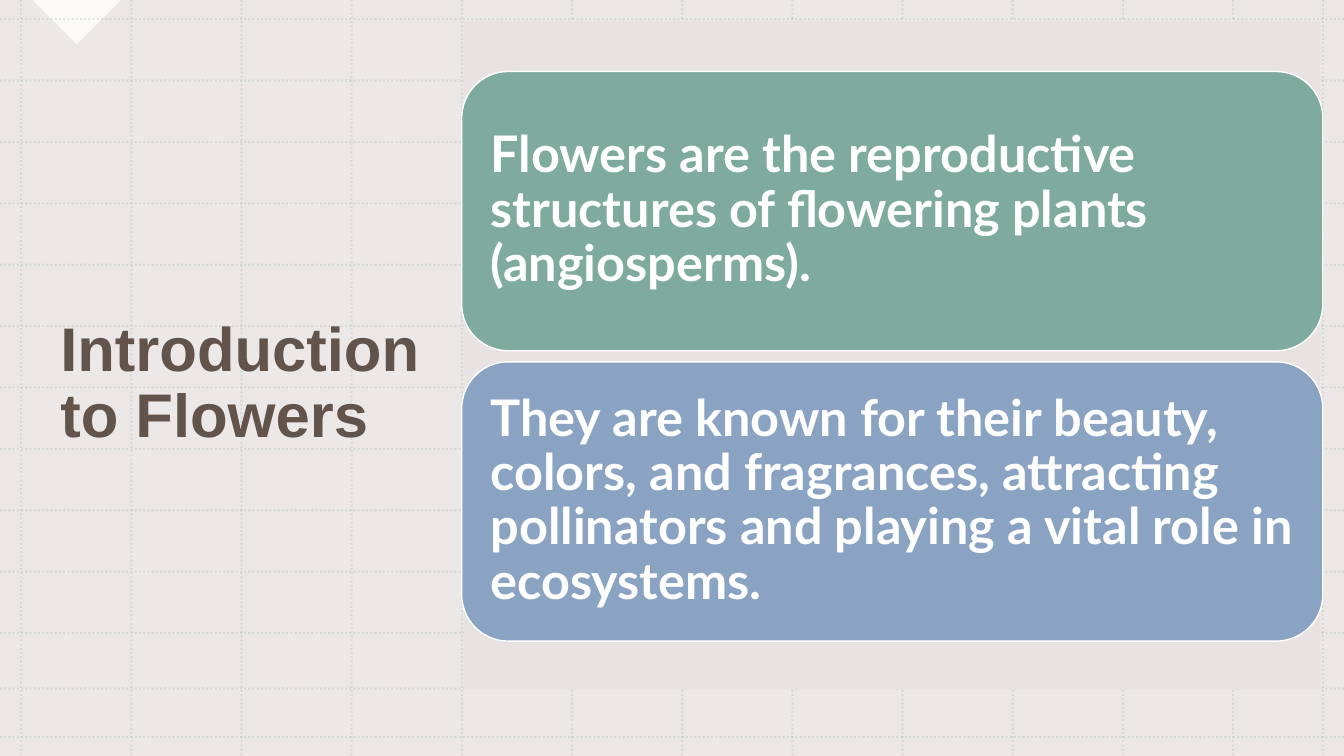
"""Builds the "Introduction to Flowers" slide."""
from dataclasses import dataclass

from lxml import etree
from pptx import Presentation
from pptx import util as u
from pptx.dml.color import RGBColor
from pptx.enum import dml, shapes, text
from pptx.oxml.ns import qn


@dataclass(frozen=True)
class Theme:
    """Colours, fonts and type sizes of the slide."""
    white: str = "FFFFFF"
    sand: str = "E8E3E2"
    green: str = "7FAA9E"
    blue: str = "8AA3C2"
    brown: str = "412F24"
    title_font: str = "Arial"
    card_font: str = "Lato"
    title_size: int = 44
    card_size: int = 36


@dataclass(frozen=True)
class Box:
    """Left, top, width and height in inches."""
    left: float
    top: float
    width: float
    height: float

    def lengths(self) -> tuple:
        """Return the four measures as lengths."""
        return tuple(u.Inches(n) for n in (self.left, self.top, self.width, self.height))


@dataclass(frozen=True)
class Card:
    """A statement and the colour behind it."""
    statement: str
    color: str


THEME = Theme()
WIDTH, HEIGHT = 13.33, 7.5
CARDS = (
    Card("Flowers are the reproductive structures of flowering plants (angiosperms).",
         THEME.green),
    Card("They are known for their beauty, colors, and fragrances, attracting "
         "pollinators and playing a vital role in ecosystems.", THEME.blue),
)
FIRST_CARD = Box(4.58, 0.71, 8.54, 2.77)
CARD_PITCH = 2.88
COLUMNS = [0.21 + i * (12.23 - 0.21) / 11 for i in range(12)] + [13.12]
ROWS = [0.19 + i * (6.28 - 0.19) / 10 for i in range(11)] + [6.83, 7.31]


def set_opacity(fill, percent: int) -> None:
    """Make a solid fill partly transparent."""
    color = fill._xPr.find(qn("a:solidFill"))[0]
    etree.SubElement(color, qn("a:alpha"), val=str(percent * 1000))


def add_panel(slide, kind, box: Box, color: str, opacity: int = 100):
    """Add a filled shape without outline or shadow."""
    panel = slide.shapes.add_shape(kind, *box.lengths())
    panel.shadow.inherit = False
    panel.fill.solid()
    panel.fill.fore_color.rgb = RGBColor.from_string(color)
    if opacity < 100:
        set_opacity(panel.fill, opacity)
    panel.line.fill.background()
    return panel


def add_grid_line(slide, x1: float, y1: float, x2: float, y2: float) -> None:
    """Add one faint dotted line."""
    rule = slide.shapes.add_connector(
        shapes.MSO_CONNECTOR.STRAIGHT, *(u.Inches(n) for n in (x1, y1, x2, y2)))
    rule.line.color.rgb = RGBColor.from_string(THEME.green)
    rule.line.width = u.Pt(1.5)
    rule.line.dash_style = dml.MSO_LINE.ROUND_DOT
    set_opacity(rule.line.fill, 20)
    etree.SubElement(rule._element.spPr, qn("a:effectLst"))


def write(holder, words: str, font: str, size: int, color: str):
    """Write one bold left-aligned paragraph, centred vertically."""
    frame = holder.text_frame
    frame.word_wrap = True
    frame.vertical_anchor = text.MSO_ANCHOR.MIDDLE
    paragraph = frame.paragraphs[0]
    paragraph.text = words
    paragraph.alignment = text.PP_ALIGN.LEFT
    paragraph.line_spacing = 0.9
    paragraph.font.name = font
    paragraph.font.size = u.Pt(size)
    paragraph.font.bold = True
    paragraph.font.color.rgb = RGBColor.from_string(color)
    return paragraph


def add_title(slide) -> None:
    """Add the slide title at the left."""
    title = slide.shapes.add_textbox(*Box(0.5, 0.79, 4.07, 6.05).lengths())
    paragraph = write(title, "Introduction to Flowers", THEME.title_font,
                      THEME.title_size, THEME.brown)
    set_opacity(paragraph.font.fill, 80)


def add_card(slide, card: Card, index: int) -> None:
    """Add one rounded statement card."""
    box = Box(FIRST_CARD.left, FIRST_CARD.top + index * CARD_PITCH,
              FIRST_CARD.width, FIRST_CARD.height)
    panel = add_panel(slide, shapes.MSO_SHAPE.ROUNDED_RECTANGLE, box, card.color)
    panel.line.color.rgb = RGBColor.from_string(THEME.white)
    panel.line.width = u.Pt(1)
    frame = panel.text_frame
    frame.margin_left = frame.margin_right = u.Inches(0.15)
    frame.margin_top = frame.margin_bottom = u.Inches(0.15)
    write(panel, card.statement, THEME.card_font, THEME.card_size, THEME.white)


def main() -> None:
    """Build and save the slide."""
    deck = Presentation()
    deck.slide_width, deck.slide_height = u.Inches(WIDTH), u.Inches(HEIGHT)
    slide = deck.slides.add_slide(deck.slide_layouts[6])
    slide.background.fill.solid()
    slide.background.fill.fore_color.rgb = RGBColor.from_string(THEME.white)
    add_panel(slide, shapes.MSO_SHAPE.RECTANGLE, Box(0, 0, WIDTH, HEIGHT), THEME.sand, 80)
    corner = add_panel(slide, shapes.MSO_SHAPE.RIGHT_TRIANGLE,
                       Box(0.45, -0.31, 0.62, 0.62), THEME.white, 75)
    corner.rotation = 315
    for x in COLUMNS:
        add_grid_line(slide, x, 0, x, HEIGHT)
    for y in ROWS:
        add_grid_line(slide, 0, y, WIDTH, y)
    add_title(slide)
    add_panel(slide, shapes.MSO_SHAPE.RECTANGLE, Box(4.6, 0.21, 8.49, 6.63), THEME.sand)
    for index, card in enumerate(CARDS):
        add_card(slide, card, index)
    deck.save("out.pptx")


if __name__ == "__main__":
    main()
